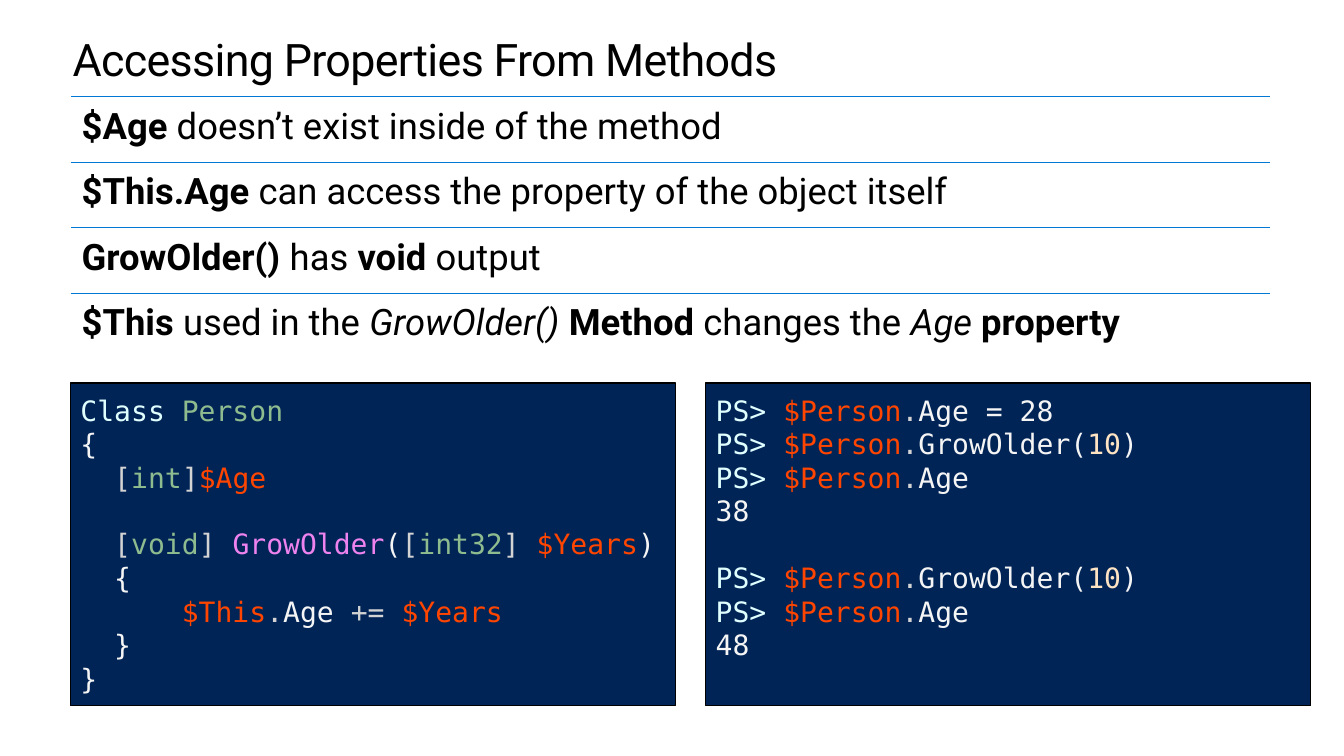
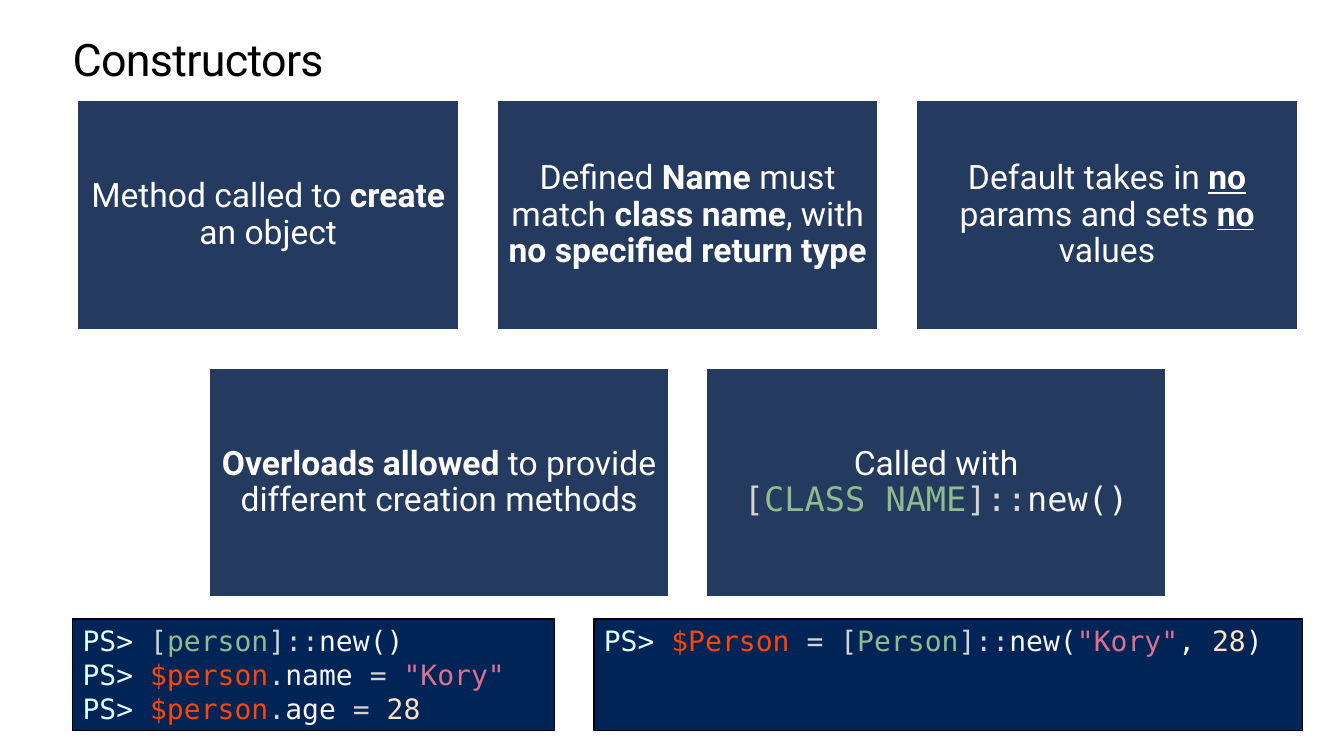
from dataclasses import dataclass
from typing import Optional

from lxml.etree import SubElement
from pptx import Presentation
from pptx.dml.color import RGBColor
from pptx.enum.shapes import MSO_CONNECTOR, MSO_SHAPE
from pptx.enum.text import MSO_ANCHOR, PP_ALIGN
from pptx.oxml.ns import qn
from pptx.util import Inches, Pt

BLACK = RGBColor(0x00, 0x00, 0x00)
WHITE = RGBColor(0xFF, 0xFF, 0xFF)
RULE_BLUE = RGBColor(0x00, 0x78, 0xD4)
CARD_BLUE = RGBColor(0x24, 0x3A, 0x5E)
CONSOLE_BLUE = RGBColor(0x01, 0x24, 0x56)
CYAN = RGBColor(0xE0, 0xFF, 0xFF)
GREEN = RGBColor(0x8F, 0xBC, 0x8F)
SMOKE = RGBColor(0xF5, 0xF5, 0xF5)
GREY = RGBColor(0xD3, 0xD3, 0xD3)
ORANGE = RGBColor(0xFF, 0x45, 0x00)
VIOLET = RGBColor(0xEE, 0x82, 0xEE)
BISQUE = RGBColor(0xFF, 0xE4, 0xC4)
ROSE = RGBColor(0xDB, 0x70, 0x93)

SANS = "Roboto"
MONO = "DejaVu Sans Mono"


@dataclass(frozen=True)
class Style:
    bold: Optional[bool] = None
    italic: Optional[bool] = None
    underline: Optional[bool] = None
    color: Optional[RGBColor] = None
    name: Optional[str] = None


def code_style(color):
    return Style(color=color, name=MONO)


PLAIN = Style()
BOLD = Style(bold=True)
ITALIC = Style(italic=True)
UNDERLINED = Style(bold=True, underline=True)
KEYWORD = code_style(CYAN)
TYPE = code_style(GREEN)
MEMBER = code_style(SMOKE)
OPERATOR = code_style(GREY)
VARIABLE = code_style(ORANGE)
METHOD = code_style(VIOLET)
NUMBER = code_style(BISQUE)
STRING = code_style(ROSE)
SEPARATOR = code_style(WHITE)

PROMPT = ("PS> ", KEYWORD)
DOT = (".", OPERATOR)
BLANK_LINE = []


class Deck:
    title_size = Pt(32)
    point_size = Pt(26)
    card_size = Pt(24)
    code_size = Pt(20)
    code_line = Pt(23.5)
    card_height = 2.27
    card_gap = 0.38
    cards_center = 6.82

    def __init__(self):
        self.deck = Presentation()
        self.deck.slide_width = Inches(13.33)
        self.deck.slide_height = Inches(7.5)
        self.page = None

    def add_page(self, title):
        self.page = self.deck.slides.add_slide(self.deck.slide_layouts[6])
        box = self.page.shapes.add_textbox(
            Inches(0.72), Inches(0.35), Inches(11.9), Inches(0.5))
        self.set_text(box, [[(title, PLAIN)]], SANS, self.title_size, BLACK, 0, 0)
        paragraph = box.text_frame.paragraphs[0]
        paragraph.line_spacing = Pt(36.2)
        for span in paragraph.runs:
            span._r.get_or_add_rPr().set("spc", "-50")

    def set_text(self, box, lines, name, size, color, inset, top_inset,
                 align=PP_ALIGN.LEFT, anchor=MSO_ANCHOR.TOP, spacing=None):
        frame = box.text_frame
        frame.word_wrap = True
        frame.vertical_anchor = anchor
        frame.margin_left = frame.margin_right = Inches(inset)
        frame.margin_top = frame.margin_bottom = Inches(top_inset)
        paragraph = None
        gap = 0
        for line in lines:
            if not line:
                gap += self.code_line
                continue
            paragraph = frame.add_paragraph() if paragraph else frame.paragraphs[0]
            paragraph.alignment = align
            if spacing:
                paragraph.line_spacing = spacing
            if gap:
                paragraph.space_before = gap
                gap = 0
            paragraph.font.name = name
            paragraph.font.size = size
            paragraph.font.color.rgb = color
            for text, style in line:
                self.add_span(paragraph, text, style)

    def add_span(self, paragraph, text, style):
        span = paragraph.add_run()
        span.text = text
        font = span.font
        font.bold = style.bold
        font.italic = style.italic
        font.underline = style.underline
        if style.name:
            font.name = style.name
        if style.color is not None:
            font.color.rgb = style.color

    def panel(self, left, top, width, height, fill, border):
        box = self.page.shapes.add_shape(
            MSO_SHAPE.RECTANGLE,
            Inches(left), Inches(top), Inches(width), Inches(height))
        box.shadow.inherit = False
        box.fill.solid()
        box.fill.fore_color.rgb = fill
        box.line.color.rgb = border
        box.line.width = Pt(1)
        return box

    def rule(self, left, top, width):
        line = self.page.shapes.add_connector(
            MSO_CONNECTOR.STRAIGHT,
            Inches(left), Inches(top), Inches(left + width), Inches(top))
        line.line.color.rgb = RULE_BLUE
        line.line.width = Pt(1)
        SubElement(line._element.spPr, qn("a:effectLst"))

    def points(self, points):
        left, top, width, height = 0.7, 0.96, 11.9, 0.65
        for index, spans in enumerate(points):
            row_top = top + index * height
            self.rule(left, row_top, width)
            box = self.page.shapes.add_textbox(
                Inches(left), Inches(row_top), Inches(width), Inches(height))
            self.set_text(box, [spans], SANS, self.point_size, BLACK,
                          0.11, 0.11, spacing=0.9)

    def card_row(self, top, width, cards):
        pitch = width + self.card_gap
        left = self.cards_center - (len(cards) * pitch - self.card_gap) / 2
        for index, lines in enumerate(cards):
            box = self.panel(left + index * pitch, top, width,
                             self.card_height, CARD_BLUE, WHITE)
            self.set_text(box, lines, SANS, self.card_size, WHITE, 0.1, 0.1,
                          PP_ALIGN.CENTER, MSO_ANCHOR.MIDDLE, 0.9)

    def console(self, left, top, width, height, lines, top_inset):
        box = self.panel(left, top, width, height, CONSOLE_BLUE, BLACK)
        self.set_text(box, lines, MONO, self.code_size, SMOKE, 0.1, top_inset)

    def save(self):
        self.deck.save("out.pptx")


def add_properties_page(deck):
    deck.add_page("Accessing Properties From Methods")
    deck.points([
        [("$Age ", BOLD), ("doesn’t exist inside of the method", PLAIN)],
        [("$This.Age", BOLD),
         (" can access the property of the object itself", PLAIN)],
        [("GrowOlder() ", BOLD), ("has ", PLAIN), ("void", BOLD),
         (" output", PLAIN)],
        [("$This ", BOLD), ("used in the ", PLAIN), ("GrowOlder() ", ITALIC),
         ("Method", BOLD), (" changes the", PLAIN), (" Age ", ITALIC),
         ("property", BOLD)],
    ])
    class_code = [
        [("Class ", KEYWORD), ("Person", TYPE)],
        [("{", MEMBER)],
        [("  [", OPERATOR), ("int", TYPE), ("]", OPERATOR), ("$Age", VARIABLE)],
        BLANK_LINE,
        [("  [", OPERATOR), ("void", TYPE), ("] ", OPERATOR),
         ("GrowOlder", METHOD), ("(", MEMBER), ("[", OPERATOR),
         ("int32", TYPE), ("] ", OPERATOR), ("$Years", VARIABLE),
         (")", MEMBER)],
        [("  {", MEMBER)],
        [("      $This", VARIABLE), DOT, ("Age ", MEMBER), ("+= ", OPERATOR),
         ("$Years", VARIABLE)],
        [("  }", MEMBER)],
        [("}", MEMBER)],
    ]
    person = [PROMPT, ("$Person", VARIABLE), DOT]
    grow = person + [("GrowOlder(", MEMBER), ("10", NUMBER), (")", MEMBER)]
    show_age = person + [("Age", MEMBER)]
    session = [
        person + [("Age = 28", MEMBER)],
        grow, show_age, [("38", MEMBER)],
        BLANK_LINE,
        grow, show_age, [("48", MEMBER)],
    ]
    for left, lines in ((0.7, class_code), (7, session)):
        deck.console(left, 3.8, 6, 3.2, lines, 0.1)


def add_constructors_page(deck):
    deck.add_page("Constructors")
    deck.card_row(1, 3.78, [
        [[("Method called to ", PLAIN), ("create ", BOLD),
          ("an object", PLAIN)]],
        [[("Defined", PLAIN), (" Name", BOLD), (" must match ", PLAIN),
          ("class name", BOLD), (", with ", PLAIN),
          ("no specified return type", BOLD)]],
        [[("Default takes in ", PLAIN), ("no", UNDERLINED),
          (" params and sets ", PLAIN), ("no", UNDERLINED),
          (" values", PLAIN)]],
    ])
    deck.card_row(1 + deck.card_height + deck.card_gap, 4.55, [
        [[("Overloads allowed", BOLD),
          (" to provide different creation methods", PLAIN)]],
        [[("Called with", PLAIN)],
         [("[", OPERATOR), ("CLASS NAME", TYPE), ("]::", OPERATOR),
          ("new()", MEMBER)]],
    ])
    person = [PROMPT, ("$person", VARIABLE), DOT]
    step_by_step = [
        [PROMPT, ("[", OPERATOR), ("person", TYPE), ("]::", OPERATOR),
         ("new()", MEMBER)],
        person + [("name ", MEMBER), ("= ", OPERATOR), ('"Kory"', STRING)],
        person + [("age ", MEMBER), ("= ", OPERATOR), ("28", NUMBER)],
    ]
    overload = [
        [PROMPT, ("$Person ", VARIABLE), ("= [", OPERATOR), ("Person", TYPE),
         ("]::", OPERATOR), ("new(", MEMBER), ('"Kory"', STRING),
         (", ", SEPARATOR), ("28", NUMBER), (")", MEMBER)],
    ]
    for left, width, lines in ((0.72, 4.78, step_by_step),
                               (5.89, 7.03, overload)):
        deck.console(left, 6.14, width, 1.11, lines, 0.05)


def main():
    deck = Deck()
    add_properties_page(deck)
    add_constructors_page(deck)
    deck.save()


if __name__ == "__main__":
    main()
